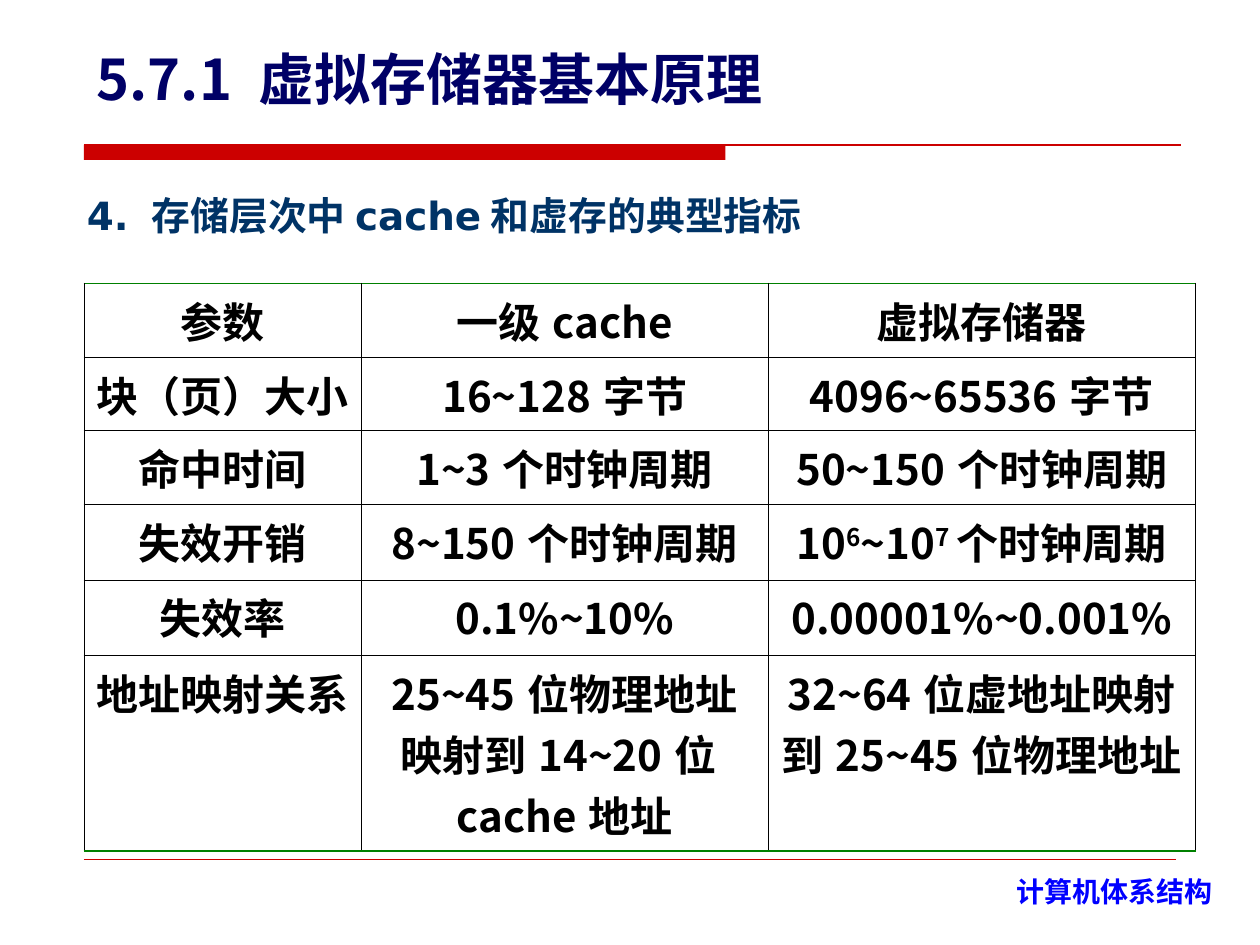
import lxml.etree
import pptx
import pptx.dml.color
import pptx.enum.shapes
import pptx.enum.text
import pptx.oxml.ns
import pptx.util

Pt = pptx.util.Pt
qn = pptx.oxml.ns.qn
Align = pptx.enum.text.PP_ALIGN
Anchor = pptx.enum.text.MSO_ANCHOR

COLORS = {
    "red": "CC0000",
    "title": "000066",
    "heading": "003366",
    "course": "0000FF",
    "text": "000000",
    "edge": "008000",
    "paper": "FFFFFF",
}
CJK_FONT = "Noto Sans CJK SC"
HEADING_FONT = "DejaVu Sans"

LEFT = 48
COLUMN_WIDTHS = [158.4, 232.6, 244.1]
ROW_HEIGHTS = [36, 36, 36, 43.2, 43.2, 93.6]
# Text between two carets is superscript.
INDICATORS = [
    ["参数", "一级cache", "虚拟存储器"],
    ["块（页）大小", "16~128字节", "4096~65536字节"],
    ["命中时间", "1~3个时钟周期", "50~150个时钟周期"],
    ["失效开销", "8~150个时钟周期", "10^6^~10^7^个时钟周期"],
    ["失效率", "0.1%~10%", "0.00001%~0.001%"],
    ["地址映射关系", "25~45位物理地址映射到14~20位cache地址",
     "32~64位虚地址映射到25~45位物理地址"],
]


def rgb(name):
    return pptx.dml.color.RGBColor.from_string(COLORS[name])


class SlideBuilder:
    def __init__(self, slide):
        self.slide = slide

    def style_runs(self, paragraph, size, color, font=CJK_FONT):
        for run in paragraph.runs:
            run.font.size = Pt(size)
            run.font.bold = True
            run.font.name = font
            run.font.color.rgb = rgb(color)
            east_asian = lxml.etree.SubElement(run.font._element, qn("a:ea"))
            east_asian.set("typeface", CJK_FONT)

    def fill_text(self, holder, box, text, size, color, font=CJK_FONT,
                  align=Align.LEFT, anchor=Anchor.TOP):
        """Place a placeholder or text box and write one styled paragraph."""
        holder.left, holder.top, holder.width, holder.height = map(Pt, box)
        frame = holder.text_frame
        frame.word_wrap = True
        frame.auto_size = pptx.enum.text.MSO_AUTO_SIZE.NONE
        frame.vertical_anchor = anchor
        frame.text = text
        paragraph = frame.paragraphs[0]
        paragraph.alignment = align
        paragraph.space_before = Pt(0)
        self.style_runs(paragraph, size, color, font)
        return paragraph

    def title(self, box, text):
        self.fill_text(self.slide.shapes.title, box, text, 32, "title",
                       anchor=Anchor.BOTTOM)

    def heading(self, box, text, hanging):
        paragraph = self.fill_text(self.slide.placeholders[1], box, text,
                                   22.2, "heading", HEADING_FONT)
        properties = paragraph._p.get_or_add_pPr()
        properties.set("marL", str(Pt(hanging)))
        properties.set("indent", str(-Pt(hanging)))
        lxml.etree.SubElement(properties, qn("a:buNone"))

    def label(self, box, text):
        holder = self.slide.shapes.add_textbox(*map(Pt, box))
        self.fill_text(holder, box, text, 16, "course", align=Align.RIGHT)

    def bar(self, box):
        bar = self.slide.shapes.add_shape(
            pptx.enum.shapes.MSO_SHAPE.RECTANGLE, *map(Pt, box))
        bar.shadow.inherit = False
        bar.fill.solid()
        bar.fill.fore_color.rgb = rgb("red")
        bar.line.fill.background()

    def rule(self, left, right, top, weight):
        line = self.slide.shapes.add_connector(
            pptx.enum.shapes.MSO_CONNECTOR.STRAIGHT,
            Pt(left), Pt(top), Pt(right), Pt(top))
        line.line.color.rgb = rgb("red")
        line.line.width = Pt(weight)
        lxml.etree.SubElement(line._element.spPr, qn("a:effectLst"))

    def border(self, cell, side, color, weight):
        line = lxml.etree.SubElement(cell._tc.get_or_add_tcPr(),
                                     qn(f"a:ln{side}"), w=str(Pt(weight)))
        solid = lxml.etree.SubElement(line, qn("a:solidFill"))
        lxml.etree.SubElement(solid, qn("a:srgbClr"), val=COLORS[color])

    def cell(self, cell, text, green_sides, filled):
        for side in "LRTB":
            style = ("edge", 0.96) if side in green_sides else ("text", 0.34)
            self.border(cell, side, *style)
        if filled:
            cell.fill.solid()
            cell.fill.fore_color.rgb = rgb("paper")
        else:
            cell.fill.background()
        paragraph = cell.text_frame.paragraphs[0]
        paragraph.alignment = Align.CENTER
        for position, part in enumerate(text.split("^")):
            run = paragraph.add_run()
            run.text = part
            if position % 2:
                run.font._element.set("baseline", "30000")
        self.style_runs(paragraph, 24, "text")

    def table(self, left, top, rows, widths, heights):
        table = self.slide.shapes.add_table(
            len(rows), len(widths), Pt(left), Pt(top),
            Pt(sum(widths)), Pt(sum(heights))).table
        table.first_row = table.horz_banding = False
        for column, width in zip(table.columns, widths):
            column.width = Pt(width)
        last = len(rows) - 1
        for r, (texts, height) in enumerate(zip(rows, heights)):
            table.rows[r].height = Pt(height)
            green_sides = {0: "T", last: "B"}.get(r, "")
            for c, text in enumerate(texts):
                self.cell(table.cell(r, c), text, green_sides,
                          filled=r == 0 or c != 1)


def main():
    deck = pptx.Presentation()
    deck.slide_width, deck.slide_height = Pt(720), Pt(540)
    page = SlideBuilder(deck.slides.add_slide(deck.slide_layouts[1]))
    page.bar((LEFT, 82.8, 366.5, 8.6))
    page.rule(LEFT, 674.8, 82.8, 0.75)
    page.rule(LEFT, 672, 491, 0.25)
    page.label((523.4, 496.1, 176.4, 31), "计算机体系结构")
    page.heading((42.5, 105.8, 601.2, 33.8),
                 "4. 存储层次中cache和虚存的典型指标", hanging=36.7)
    page.title((LEFT, 31.7, 589.7, 36), "5.7.1 虚拟存储器基本原理")
    page.table(LEFT, 162, INDICATORS, COLUMN_WIDTHS, ROW_HEIGHTS)
    deck.save("out.pptx")


if __name__ == "__main__":
    main()
